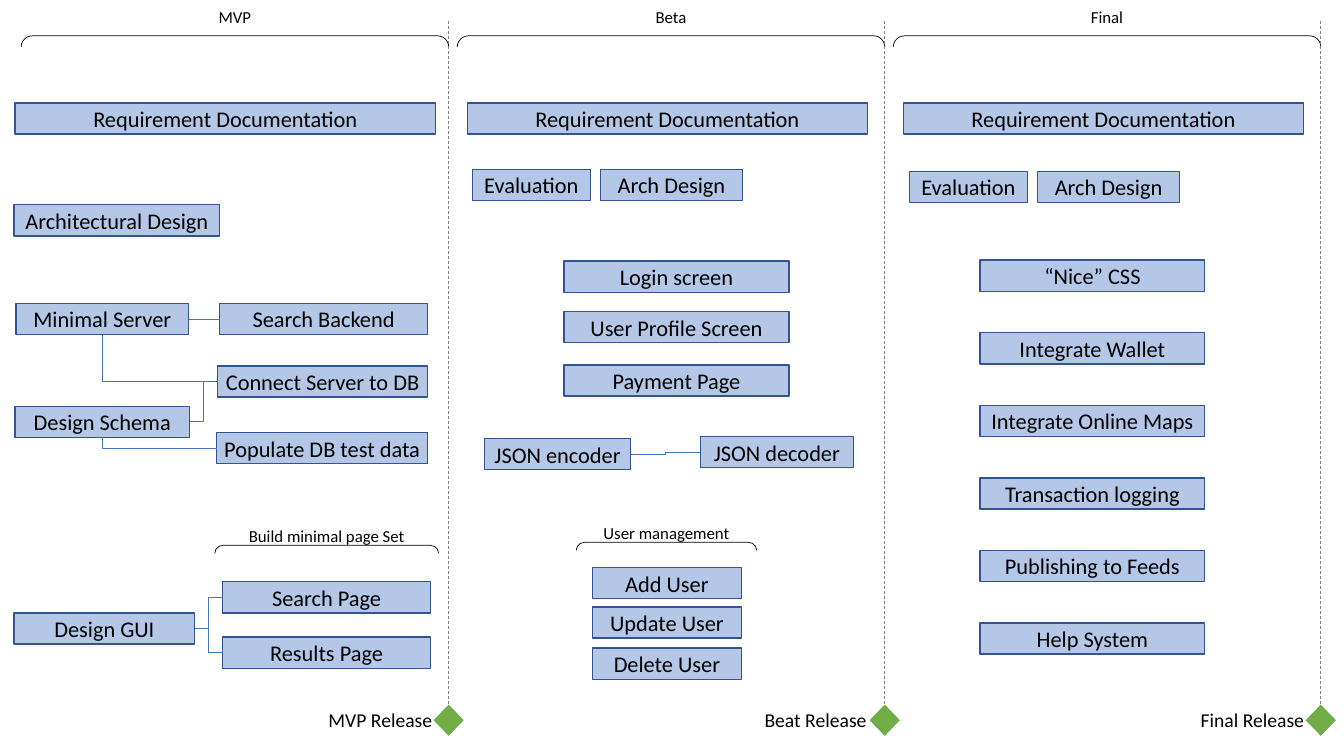
from dataclasses import dataclass

from lxml import etree
from pptx import Presentation
from pptx.dml.color import RGBColor
from pptx.enum.dml import MSO_LINE
from pptx.enum.shapes import MSO_CONNECTOR, MSO_SHAPE
from pptx.enum.text import MSO_ANCHOR, PP_ALIGN
from pptx.oxml.ns import qn
from pptx.util import Inches, Pt

RECTANGLE = MSO_SHAPE.RECTANGLE
BRACKET = MSO_SHAPE.LEFT_BRACKET
DIAMOND = MSO_SHAPE.FLOWCHART_DECISION
ELBOW = MSO_CONNECTOR.ELBOW
STRAIGHT = MSO_CONNECTOR.STRAIGHT
DASH = MSO_LINE.DASH
MIDDLE = MSO_ANCHOR.MIDDLE
CENTER = PP_ALIGN.CENTER
LEFT = PP_ALIGN.LEFT
LEFT_SITE, BOTTOM_SITE, RIGHT_SITE = 1, 2, 3

PHASE_PITCH = 4.325
PHASE_WIDTH = 4.45
CARD_HEIGHT = 0.31
REQUIREMENTS_TOP = 1.02


@dataclass(frozen=True)
class Theme:
    font: str = "Calibri"
    ink: RGBColor = RGBColor(0, 0, 0)
    card_fill: RGBColor = RGBColor(0xB4, 0xC7, 0xE7)
    card_edge: RGBColor = RGBColor(0x32, 0x54, 0x91)
    link: RGBColor = RGBColor(0x44, 0x72, 0xC4)
    divider: RGBColor = RGBColor(0x80, 0x80, 0x80)
    milestone: RGBColor = RGBColor(0x70, 0xAD, 0x47)
    card_size: int = 16
    release_size: int = 14
    bracket_size: int = 12


THEME = Theme()


@dataclass
class Phase:
    slide: object
    left: float

    def place(self, left, top, width, height):
        return [Inches(v) for v in (self.left + left, top, width, height)]

    def card(self, wording, left, top, width):
        task = self.slide.shapes.add_shape(
            RECTANGLE, *self.place(left, top, width, CARD_HEIGHT))
        task.shadow.inherit = False
        task.fill.solid()
        task.fill.fore_color.rgb = THEME.card_fill
        task.line.color.rgb = THEME.card_edge
        task.line.width = Pt(1)
        frame = task.text_frame
        frame.margin_left = frame.margin_right = 0
        frame.vertical_anchor = MIDDLE
        frame.word_wrap = True
        write(frame, wording, THEME.card_size, CENTER)
        return task

    def column(self, wordings, left, tops, width):
        for wording, top in zip(wordings, tops):
            self.card(wording, left, top, width)

    def label(self, wording, left, top, width, height, size, align, wrap):
        caption = self.slide.shapes.add_textbox(
            *self.place(left, top, width, height))
        caption.text_frame.word_wrap = wrap
        write(caption.text_frame, wording, size, align)

    def bracket(self, wording, left, middle, span, depth, rise):
        brace = self.slide.shapes.add_shape(BRACKET, *self.place(
            left + (span - depth) / 2, middle - span / 2, depth, span))
        brace.rotation = 90
        brace.adjustments[0] = 1.032
        brace.shadow.inherit = False
        brace.fill.background()
        brace.line.color.rgb = THEME.ink
        brace.line.width = Pt(0.5)
        self.label(wording, left, middle - rise, span, 0.22,
                   THEME.bracket_size, CENTER, True)

    def connector(self, kind, color, start=(0, 0), end=(0, 0)):
        ends = [Inches(v) for x, y in (start, end) for v in (self.left + x, y)]
        line = self.slide.shapes.add_connector(kind, *ends)
        line.line.color.rgb = color
        line.line.width = Pt(0.5)
        etree.SubElement(line._element.spPr, qn("a:effectLst"))
        return line

    def link(self, source, source_site, target, target_site):
        line = self.connector(ELBOW, THEME.link)
        line.begin_connect(source, source_site)
        line.end_connect(target, target_site)
        return line

    def corner_link(self, target, source):
        line = self.link(target, LEFT_SITE, source, BOTTOM_SITE)
        line._element.spPr.find(qn("a:prstGeom")).set("prst", "bentConnector2")


def write(frame, wording, size, align):
    paragraph = frame.paragraphs[0]
    paragraph.text = wording
    paragraph.alignment = align
    paragraph.font.name = THEME.font
    paragraph.font.size = Pt(size)
    paragraph.font.color.rgb = THEME.ink


def phase_frame(phase, name, release):
    edge = PHASE_WIDTH
    phase.bracket(name, 0.21, 0.41, edge - 0.21, 0.11, 0.39)
    divider = phase.connector(STRAIGHT, THEME.divider, (edge, 0.21), (edge, 6.99))
    divider.line.dash_style = DASH
    milestone = phase.slide.shapes.add_shape(
        DIAMOND, *phase.place(edge - 0.15, 6.99, 0.3, 0.31))
    milestone.shadow.inherit = False
    milestone.fill.solid()
    milestone.fill.fore_color.rgb = THEME.milestone
    milestone.line.fill.background()
    phase.label(release, edge - 1.29, 6.97, 1.24, 0.34,
                THEME.release_size, LEFT, False)


def mvp_tasks(phase):
    phase.card("Requirement Documentation", 0.15, REQUIREMENTS_TOP, 4.17)
    phase.card("Architectural Design", 0.14, 2.03, 2.04)
    server = phase.card("Minimal Server", 0.16, 3.01, 1.71)
    backend = phase.card("Search Backend", 2.18, 3.01, 2.06)
    connect = phase.card("Connect Server to DB", 2.16, 3.63, 2.08)
    schema = phase.card("Design Schema", 0.15, 4.03, 1.73)
    populate = phase.card("Populate DB test data", 2.15, 4.29, 2.09)
    gui = phase.card("Design GUI", 0.14, 6.08, 1.79)
    phase.bracket("Build minimal page Set", 2.13, 5.45, 2.22, 0.08, 0.28)
    search = phase.card("Search Page", 2.21, 5.77, 2.06)
    results = phase.card("Results Page", 2.21, 6.32, 2.06)
    for source, target in ((server, backend), (schema, connect),
                           (gui, search), (gui, results)):
        phase.link(source, RIGHT_SITE, target, LEFT_SITE)
    phase.corner_link(connect, server)
    phase.corner_link(populate, schema)


def design_review(phase, left, top):
    phase.card("Requirement Documentation", 0.31, REQUIREMENTS_TOP, 3.97)
    phase.card("Evaluation", left, top, 1.17)
    phase.card("Arch Design", left + 1.27, top, 1.41)


def beta_tasks(phase):
    design_review(phase, 0.36, 1.68)
    phase.column(("Login screen", "User Profile Screen", "Payment Page"),
                 1.27, (2.59, 3.09, 3.62), 2.23)
    encoder = phase.card("JSON encoder", 0.48, 4.35, 1.45)
    decoder = phase.card("JSON decoder", 2.62, 4.33, 1.52)
    phase.link(encoder, RIGHT_SITE, decoder, LEFT_SITE)
    phase.bracket("User management", 1.39, 5.42, 1.79, 0.08, 0.28)
    phase.column(("Add User", "Update User", "Delete User"),
                 1.55, (5.63, 6.02, 6.43), 1.48)


def final_tasks(phase):
    design_review(phase, 0.37, 1.7)
    features = ("“Nice” CSS", "Integrate Wallet", "Integrate Online Maps",
                "Transaction logging", "Publishing to Feeds", "Help System")
    tops = [2.58 + 0.72 * row for row in range(len(features))]
    phase.column(features, 1.07, tops, 2.23)


def main():
    deck = Presentation()
    deck.slide_width, deck.slide_height = Inches(13.33), Inches(7.5)
    slide = deck.slides.add_slide(deck.slide_layouts[6])
    phases = (("MVP", "MVP Release", mvp_tasks),
              ("Beta", "Beat Release", beta_tasks),
              ("Final", "Final Release", final_tasks))
    for index, (name, release, add_tasks) in enumerate(phases):
        phase = Phase(slide, index * PHASE_PITCH)
        phase_frame(phase, name, release)
        add_tasks(phase)
    deck.save("out.pptx")


main()
